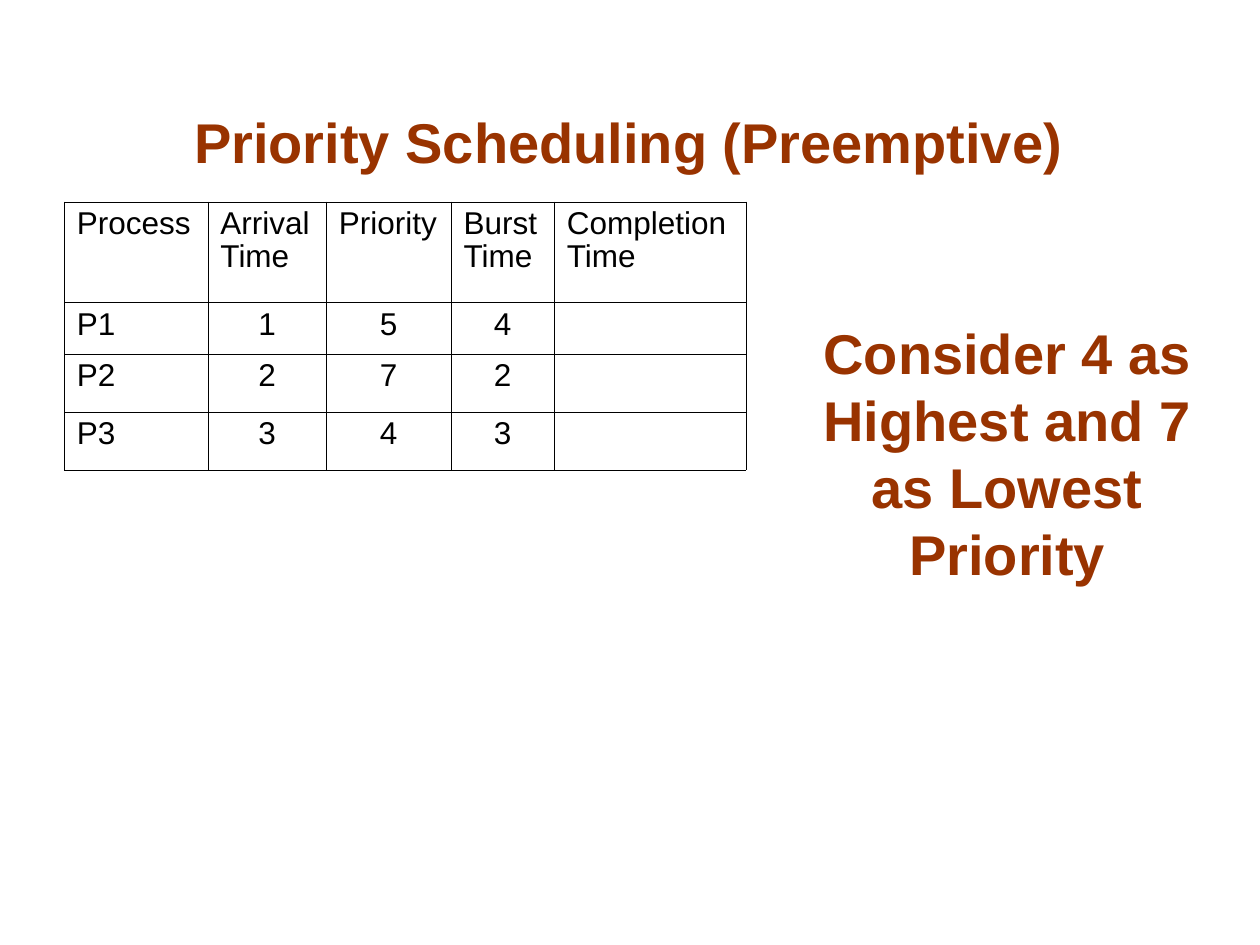
"""Build the preemptive priority scheduling slide."""
import pptx
import pptx.dml.color
import pptx.enum.text
import pptx.oxml
import pptx.oxml.ns
import pptx.util

Inches = pptx.util.Inches
Align = pptx.enum.text.PP_ALIGN
Anchor = pptx.enum.text.MSO_ANCHOR


def color(hex_code):
    return pptx.dml.color.RGBColor.from_string(hex_code)


def write(frame, text, size=18, ink="000000", bold=False, align=Align.LEFT,
          spacing=None, anchor=Anchor.TOP):
    frame.word_wrap = True
    frame.auto_size = pptx.enum.text.MSO_AUTO_SIZE.NONE
    frame.vertical_anchor = anchor
    paragraph = frame.paragraphs[0]
    paragraph.text = text
    paragraph.alignment = align
    paragraph.line_spacing = spacing
    paragraph.font.name = "Arial"
    paragraph.font.size = pptx.util.Pt(size)
    paragraph.font.bold = bold
    paragraph.font.color.rgb = color(ink)


deck = pptx.Presentation()
deck.slide_width, deck.slide_height = Inches(10), Inches(7.5)
slide = deck.slides.add_slide(deck.slide_layouts[5])

heading = dict(size=32, ink="993300", bold=True, align=Align.CENTER, anchor=Anchor.BOTTOM)
title = slide.shapes.title
title.left, title.top = Inches(0.74), Inches(0.73)
title.width, title.height = Inches(8.5), Inches(0.71)
write(title.text_frame, "Priority Scheduling (Preemptive)", **heading)

processes = [
    ["Process", "Arrival Time", "Priority", "Burst Time", "Completion Time"],
    ["P1", "1", "5", "4", ""],
    ["P2", "2", "7", "2", ""],
    ["P3", "3", "4", "3", ""],
]
column_widths = [1.14, 0.94, 0.99, 0.82, 1.52]
row_heights = [0.8, 0.41, 0.46, 0.46]
schedule = slide.shapes.add_table(
    len(row_heights), len(column_widths), Inches(0.51), Inches(1.6),
    Inches(sum(column_widths)), Inches(sum(row_heights))).table
schedule.first_row = schedule.horz_banding = False
for column, width in zip(schedule.columns, column_widths):
    column.width = Inches(width)
for row, height in zip(schedule.rows, row_heights):
    row.height = Inches(height)

for row_index, values in enumerate(processes):
    for column_index, value in enumerate(values):
        cell = schedule.cell(row_index, column_index)
        centered = row_index > 0 and column_index > 0
        write(cell.text_frame, value, spacing=0.94,
              align=Align.CENTER if centered else Align.LEFT)
        for side in ("lnL", "lnR", "lnT", "lnB"):
            cell._tc.get_or_add_tcPr().append(pptx.oxml.parse_xml(
                f'<a:{side} {pptx.oxml.ns.nsdecls("a")} w="{pptx.util.Pt(0.11)}"><a:solidFill>'
                f'<a:srgbClr val="000000"/></a:solidFill></a:{side}>'))
        cell.fill.background()

priority_note = slide.shapes.add_textbox(Inches(6.21), Inches(2.18), Inches(3.57), Inches(2.53))
write(priority_note.text_frame, "Consider 4 as Highest and 7 as Lowest Priority", **heading)

deck.save("out.pptx")
